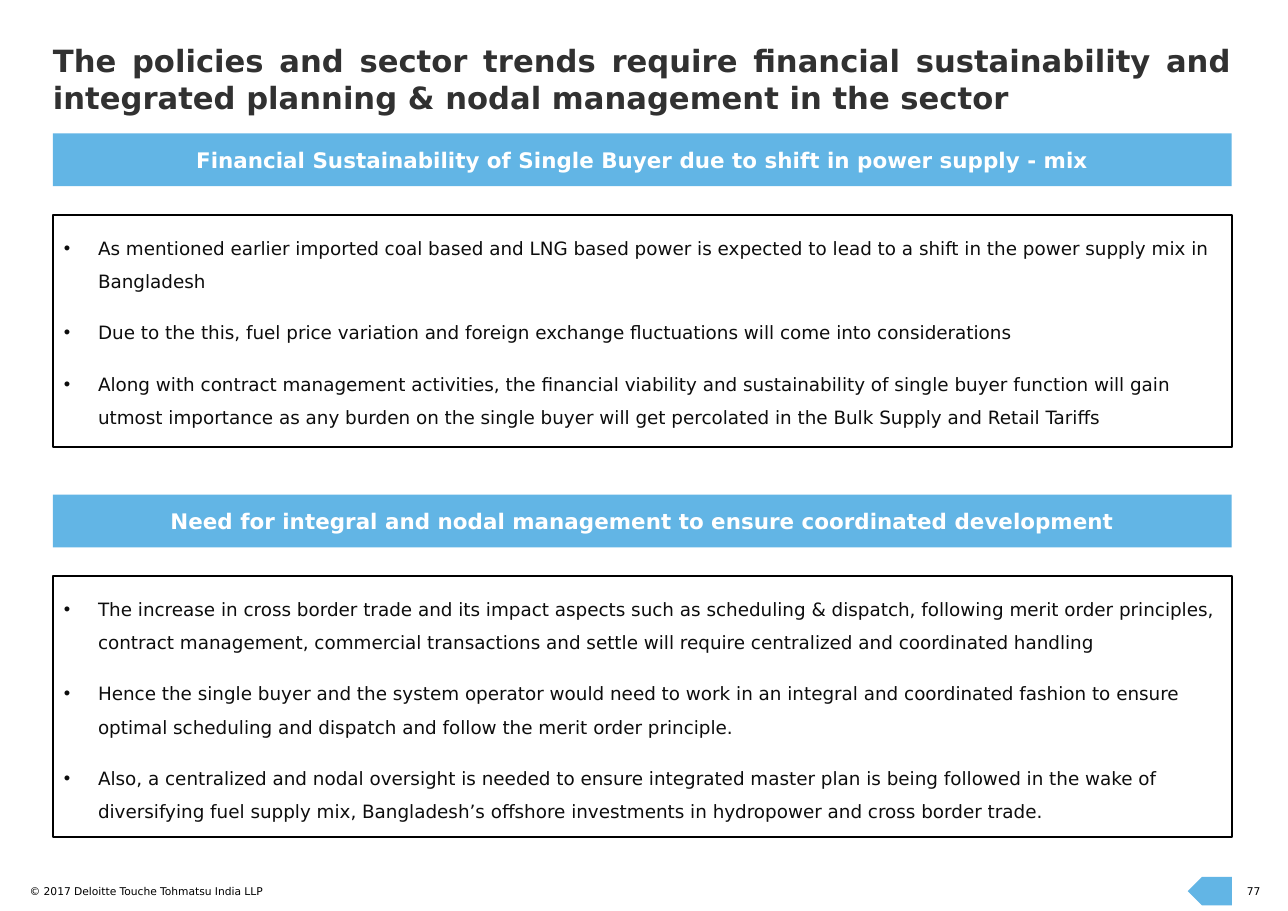
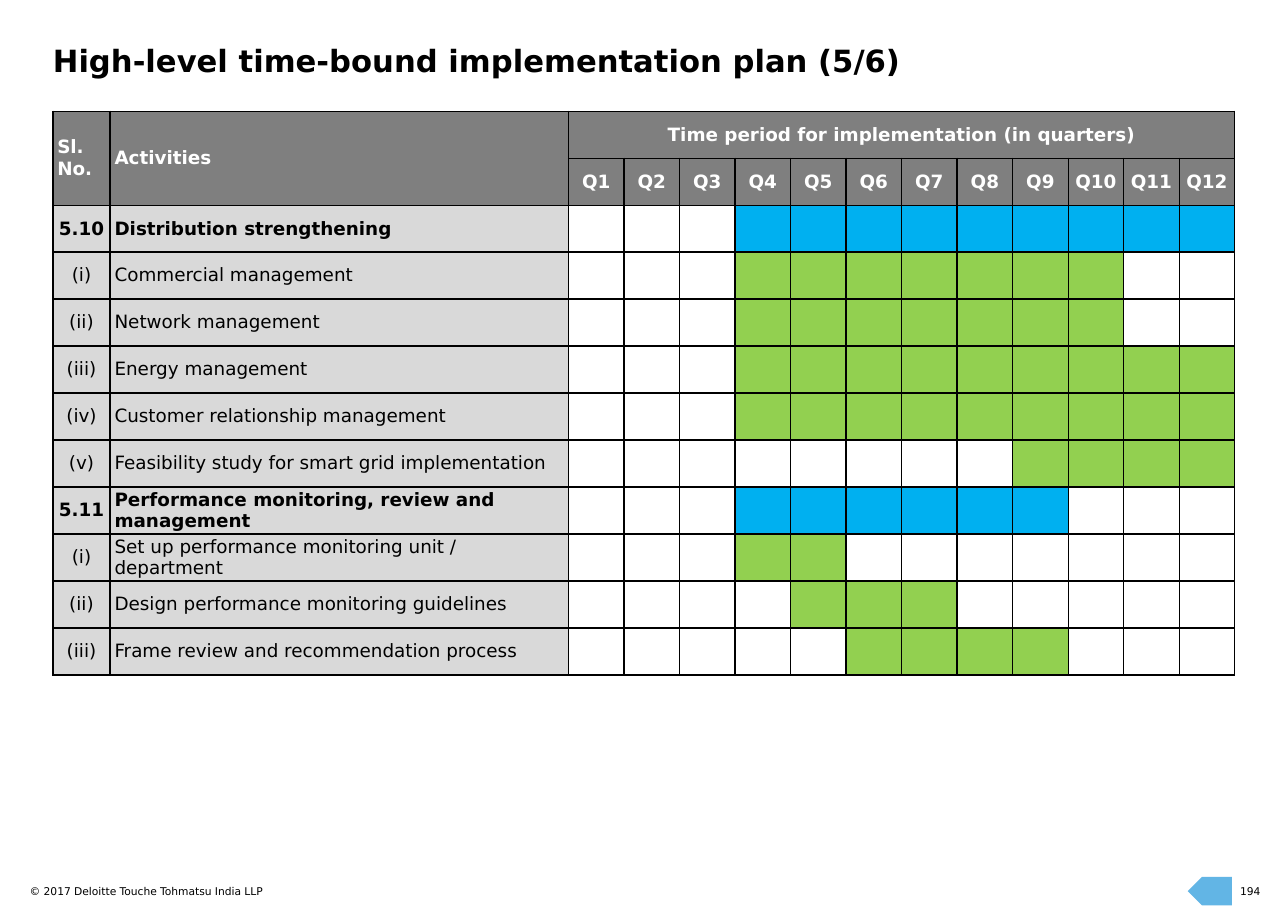
import pptx
import pptx.dml.color
import pptx.enum.shapes
import pptx.enum.text
import pptx.oxml
import pptx.oxml.ns
import pptx.util

Inches = pptx.util.Inches
Pt = pptx.util.Pt
RGBColor = pptx.dml.color.RGBColor
ALIGN = pptx.enum.text.PP_ALIGN
ANCHOR = pptx.enum.text.MSO_ANCHOR

FONT = "DejaVu Sans"
BLACK = RGBColor(0x00, 0x00, 0x00)
WHITE = RGBColor(0xFF, 0xFF, 0xFF)
CHARCOAL = RGBColor(0x31, 0x31, 0x31)
INK = RGBColor(0x0D, 0x0D, 0x0D)
SKY = RGBColor(0x62, 0xB5, 0xE5)
HEADER_GREY = RGBColor(0x7F, 0x7F, 0x7F)
LABEL_GREY = RGBColor(0xD9, 0xD9, 0xD9)
PHASE_BLUE = RGBColor(0x00, 0xB0, 0xF0)
TASK_GREEN = RGBColor(0x92, 0xD0, 0x50)

PAGE_WIDTH, PAGE_HEIGHT = 11.69, 8.27
MARGIN = 0.48
CONTENT_WIDTH = 10.7
TITLE_TOP, TITLE_HEIGHT = 0.38, 0.8
FOOTER_LEFT, FOOTER_TOP, FOOTER_HEIGHT = 0.27, 8.03, 0.24
FOOTER_RIGHT = 11.44
TITLE_ONLY, COMPARISON = 5, 4

deck = pptx.Presentation()
deck.slide_width = Inches(PAGE_WIDTH)
deck.slide_height = Inches(PAGE_HEIGHT)


def fill_text(frame, texts, size, color, bold=False, align=ALIGN.LEFT,
              anchor=ANCHOR.TOP, inset=(0, 0)):
    """Write one paragraph per text; inset is (horizontal, vertical) in inches."""
    frame.text = "\n".join(texts)
    frame.word_wrap = True
    frame.auto_size = pptx.enum.text.MSO_AUTO_SIZE.NONE
    frame.vertical_anchor = anchor
    frame.margin_left = frame.margin_right = Inches(inset[0])
    frame.margin_top = frame.margin_bottom = Inches(inset[1])
    for para in frame.paragraphs:
        para.alignment = align
        para.space_before = Pt(0)
        for span in para.runs:
            span.font.name = FONT
            span.font.size = Pt(size)
            span.font.bold = bold
            span.font.color.rgb = color


def add_page(layout, title, number, title_color, title_align):
    """Add a slide with its title, copyright line, page number and page arrow."""
    page = deck.slides.add_slide(deck.slide_layouts[layout])
    heading = page.shapes.title
    heading.left, heading.top = Inches(MARGIN), Inches(TITLE_TOP)
    heading.width, heading.height = Inches(CONTENT_WIDTH), Inches(TITLE_HEIGHT)
    fill_text(heading.text_frame, [title], 20, title_color, True, title_align)

    footers = [
        (FOOTER_LEFT, 5.13, "© 2017 Deloitte Touche Tohmatsu India LLP", ALIGN.LEFT),
        (FOOTER_RIGHT - 0.3, 0.3, number, ALIGN.RIGHT),
    ]
    for left, width, text, align in footers:
        box = page.shapes.add_textbox(Inches(left), Inches(FOOTER_TOP),
                                      Inches(width), Inches(FOOTER_HEIGHT))
        fill_text(box.text_frame, [text], 7, BLACK, align=align)

    arrow = page.shapes.add_shape(
        pptx.enum.shapes.MSO_SHAPE.PENTAGON,
        Inches(MARGIN + CONTENT_WIDTH - 0.4), Inches(7.96), Inches(0.4), Inches(0.26))
    arrow.rotation = 180
    arrow.shadow.inherit = False
    arrow.fill.solid()
    arrow.fill.fore_color.rgb = SKY
    arrow.line.fill.background()
    return page


# Policies and sector trends
trends = add_page(
    COMPARISON,
    "The policies and sector trends require financial sustainability and "
    "integrated planning & nodal management in the sector",
    "77", CHARCOAL, ALIGN.JUSTIFY)

BAND_HEIGHT = 0.48
BAND_TO_LIST = 0.74
# band top, list height, band text, list items
sections = [
    (1.21, 2.11,
     "Financial Sustainability of Single Buyer due to shift in power supply - mix",
     ["As mentioned earlier imported coal based and LNG based power is expected to "
      "lead to a shift in the power supply mix in Bangladesh",
      "Due to the this, fuel price variation and foreign exchange fluctuations will "
      "come into considerations",
      "Along with contract management activities, the financial viability and "
      "sustainability of single buyer function will gain utmost importance as any "
      "burden on the single buyer will get percolated in the Bulk Supply and Retail "
      "Tariffs"]),
    (4.49, 2.37,
     "Need for integral and nodal management to ensure coordinated development",
     ["The increase in cross border trade and its impact aspects such as scheduling "
      "& dispatch, following merit order principles, contract management, commercial "
      "transactions and settle will require centralized and coordinated handling",
      "Hence the single buyer and the system operator would need to work in an "
      "integral and coordinated fashion to ensure optimal scheduling and dispatch "
      "and follow the merit order principle.",
      "Also, a centralized and nodal oversight is needed to ensure integrated master "
      "plan is being followed in the wake of diversifying fuel supply mix, "
      "Bangladesh’s offshore investments in hydropower and cross border trade."]),
]
bodies = [shape for shape in trends.placeholders if shape != trends.shapes.title]
bands, lists = bodies[0::2], bodies[1::2]

for band, listing, (top, list_height, band_text, items) in zip(bands, lists, sections):
    places = [(band, top, BAND_HEIGHT, SKY),
              (listing, top + BAND_TO_LIST, list_height, WHITE)]
    for box, box_top, height, color in places:
        box.left, box.top = Inches(MARGIN), Inches(box_top)
        box.width, box.height = Inches(CONTENT_WIDTH), Inches(height)
        box.fill.solid()
        box.fill.fore_color.rgb = color
    listing.line.color.rgb = BLACK
    listing.line.width = Pt(1.5)

    fill_text(band.text_frame, [band_text], 14, WHITE, True, ALIGN.CENTER,
              ANCHOR.MIDDLE, (0.1, 0.1))
    fill_text(listing.text_frame, items, 12, INK, inset=(0.1, 0.1))
    for index, para in enumerate(listing.text_frame.paragraphs):
        properties = para._p.get_or_add_pPr()
        properties.set("marL", str(Inches(0.31)))
        properties.set("indent", str(-Inches(0.31)))
        bullet = pptx.oxml.parse_xml(
            f'<a:buChar {pptx.oxml.ns.nsdecls("a")} char="•"/>')
        properties.append(bullet)
        para.line_spacing = 1.5
        para.space_before = Pt(6 if index else 0)
        para.space_after = Pt(6)

# Implementation plan
plan = add_page(TITLE_ONLY, "High-level time-bound implementation plan (5/6)",
                "194", BLACK, ALIGN.LEFT)

QUARTERS = 12
HEADER_ROWS = LABEL_COLUMNS = 2
TABLE_WIDTH, TABLE_HEIGHT = 10.73, 5.12
NUMBER_WIDTH, ACTIVITY_WIDTH = 0.52, 4.16
quarter_width = (TABLE_WIDTH - NUMBER_WIDTH - ACTIVITY_WIDTH) / QUARTERS

# number, activity, first quarter, last quarter, bar colour
activities = [
    ("5.10", "Distribution strengthening", 4, 12, PHASE_BLUE),
    ("(i)", "Commercial management", 4, 10, TASK_GREEN),
    ("(ii)", "Network management", 4, 10, TASK_GREEN),
    ("(iii)", "Energy management", 4, 12, TASK_GREEN),
    ("(iv)", "Customer relationship management", 4, 12, TASK_GREEN),
    ("(v)", "Feasibility study for smart grid implementation", 9, 12, TASK_GREEN),
    ("5.11", "Performance monitoring, review and management", 4, 9, PHASE_BLUE),
    ("(i)", "Set up performance monitoring unit / department", 4, 5, TASK_GREEN),
    ("(ii)", "Design performance monitoring guidelines", 5, 7, TASK_GREEN),
    ("(iii)", "Frame review and recommendation process", 6, 9, TASK_GREEN),
]
row_count = HEADER_ROWS + len(activities)
column_count = LABEL_COLUMNS + QUARTERS
table = plan.shapes.add_table(
    row_count, column_count, Inches(MARGIN), Inches(1.01),
    Inches(TABLE_WIDTH), Inches(TABLE_HEIGHT)).table
table.first_row = table.horz_banding = False
for row in table.rows:
    row.height = Inches(TABLE_HEIGHT / row_count)
widths = [NUMBER_WIDTH, ACTIVITY_WIDTH] + [quarter_width] * QUARTERS
for column, width in zip(table.columns, widths):
    column.width = Inches(width)

# Each grid entry: text, fill, text colour, bold, alignment
header_texts = [
    ["Sl. No.", "Activities", "Time period for implementation (in quarters)"]
    + [""] * (QUARTERS - 1),
    ["", ""] + [f"Q{quarter}" for quarter in range(1, QUARTERS + 1)],
]
grid = [
    [(text, HEADER_GREY, WHITE, True,
      ALIGN.LEFT if column < LABEL_COLUMNS else ALIGN.CENTER)
     for column, text in enumerate(texts)]
    for texts in header_texts
]
for number, activity, first, last, bar_color in activities:
    bold = bar_color == PHASE_BLUE
    labels = [(number, LABEL_GREY, BLACK, bold, ALIGN.CENTER),
              (activity, LABEL_GREY, BLACK, bold, ALIGN.LEFT)]
    bars = [("", bar_color if first <= quarter <= last else WHITE,
             BLACK, False, ALIGN.CENTER)
            for quarter in range(1, QUARTERS + 1)]
    grid.append(labels + bars)

for row, entries in enumerate(grid):
    for column, (text, fill, color, bold, align) in enumerate(entries):
        cell = table.cell(row, column)
        for side in ("lnL", "lnR", "lnT", "lnB"):
            border = pptx.oxml.parse_xml(
                f'<a:{side} {pptx.oxml.ns.nsdecls("a")} w="{Pt(1)}"><a:solidFill>'
                f'<a:srgbClr val="{BLACK}"/></a:solidFill></a:{side}>')
            cell._tc.get_or_add_tcPr().append(border)
        cell.fill.solid()
        cell.fill.fore_color.rgb = fill
        cell.margin_left = cell.margin_right = Inches(0.04)
        cell.margin_top = cell.margin_bottom = 0
        cell.vertical_anchor = ANCHOR.MIDDLE
        cell.text_frame.text = text
        para = cell.text_frame.paragraphs[0]
        para.alignment = align
        para.font.name = FONT
        para.font.size = Pt(12)
        for span in para.runs:
            span.font.name = FONT
            span.font.size = Pt(12)
            span.font.bold = bold
            span.font.color.rgb = color

for column in range(LABEL_COLUMNS):
    table.cell(0, column).merge(table.cell(1, column))
table.cell(0, LABEL_COLUMNS).merge(table.cell(0, column_count - 1))

deck.save("out.pptx")
